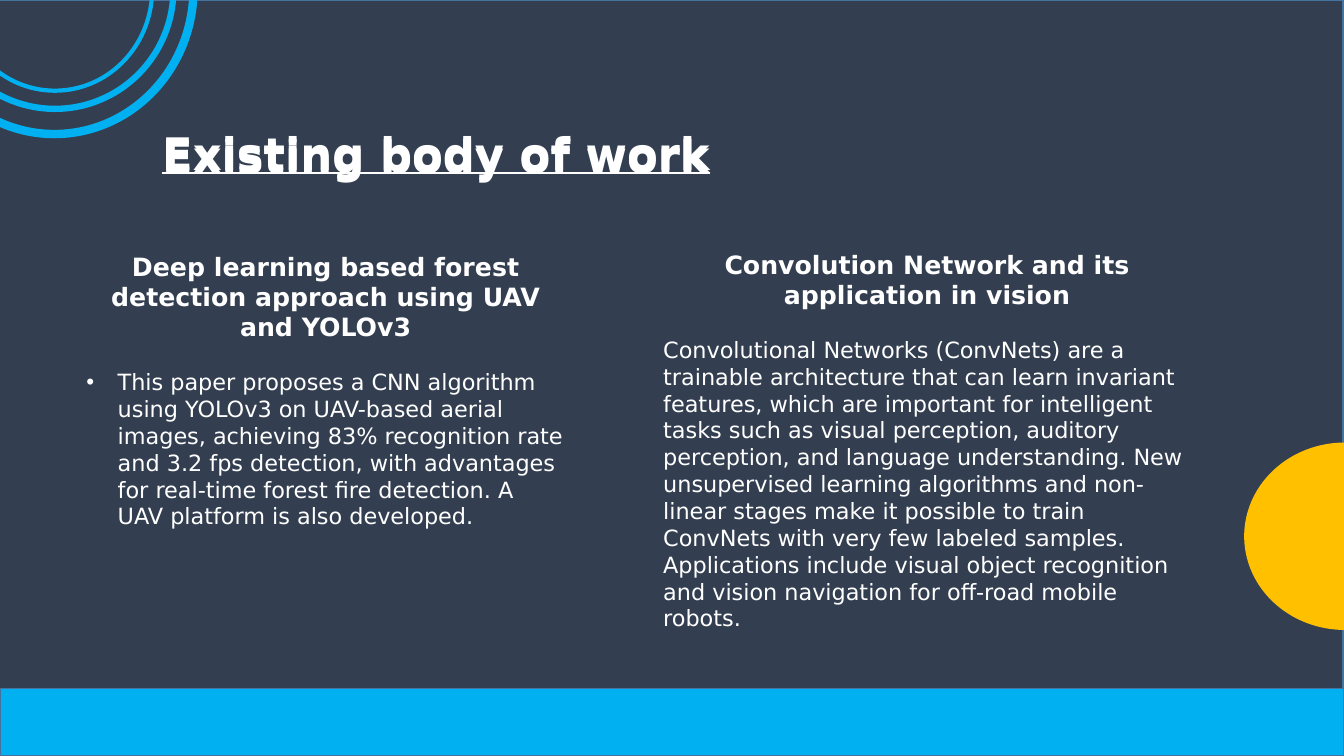
from typing import NamedTuple, Optional

from lxml.etree import SubElement
from pptx import Presentation
from pptx.dml.color import RGBColor
from pptx.enum.shapes import MSO_SHAPE
from pptx.enum.text import MSO_AUTO_SIZE, PP_ALIGN
from pptx.oxml.ns import qn
from pptx.util import Inches, Pt

FONT = "DejaVu Sans"
WHITE = RGBColor(0xFF, 0xFF, 0xFF)
SLATE = RGBColor(0x33, 0x3F, 0x50)
EDGE_BLUE = RGBColor(0x43, 0x73, 0x9E)
SKY_BLUE = RGBColor(0x00, 0xB0, 0xF0)
AMBER = RGBColor(0xFF, 0xC0, 0x00)
SLIDE_WIDTH, SLIDE_HEIGHT = 13.33, 7.5
BULLET_INDENT = Inches(0.31)


class Box(NamedTuple):
    """Left, top, width and height in inches."""
    left: float
    top: float
    width: float
    height: float


class Decoration(NamedTuple):
    """A plain background shape."""
    kind: MSO_SHAPE
    box: Box
    fill: Optional[RGBColor] = None
    line: Optional[RGBColor] = None
    line_width: float = 1


class Study(NamedTuple):
    """A column with a paper's heading and summary."""
    box: Box
    heading: str
    summary: str
    bulleted: bool


DECORATIONS = [
    Decoration(MSO_SHAPE.RECTANGLE, Box(-0.01, 0, SLIDE_WIDTH, SLIDE_HEIGHT), SLATE, EDGE_BLUE),
    Decoration(MSO_SHAPE.OVAL, Box(-0.84, -1.55, 2.76, 2.88), None, SKY_BLUE, 6),
    Decoration(MSO_SHAPE.OVAL, Box(-0.63, -1.29, 2.35, 2.37), None, SKY_BLUE, 4.5),
    Decoration(MSO_SHAPE.OVAL, Box(-0.42, -1.11, 1.93, 2.01), None, SKY_BLUE, 3),
    Decoration(MSO_SHAPE.RECTANGLE, Box(0, 6.83, SLIDE_WIDTH, 0.67), SKY_BLUE, EDGE_BLUE),
    Decoration(MSO_SHAPE.OVAL, Box(12.34, 4.39, 2, 1.86), AMBER),
]

STUDIES = [
    Study(
        Box(0.76, 2.44, 4.94, 3.16),
        "Deep learning based forest detection approach using UAV and YOLOv3",
        "This paper proposes a CNN algorithm using YOLOv3 on UAV-based aerial images, "
        "achieving 83% recognition rate and 3.2 fps detection, with advantages for "
        "real-time forest fire detection. A UAV platform is also developed.",
        True,
    ),
    Study(
        Box(6.48, 2.42, 5.43, 3.94),
        "Convolution Network and its application in vision",
        "Convolutional Networks (ConvNets) are a trainable architecture that can learn "
        "invariant features, which are important for intelligent tasks such as visual "
        "perception, auditory perception, and language understanding. New unsupervised "
        "learning algorithms and non-linear stages make it possible to train ConvNets "
        "with very few labeled samples. Applications include visual object recognition "
        "and vision navigation for off-road mobile robots.",
        False,
    ),
]


def add_decoration(slide, decoration: Decoration) -> None:
    """Draw a background shape with its fill and outline."""
    shape = slide.shapes.add_shape(decoration.kind, *map(Inches, decoration.box))
    shape.shadow.inherit = False
    if decoration.fill is None:
        shape.fill.background()
    else:
        shape.fill.solid()
        shape.fill.fore_color.rgb = decoration.fill
    if decoration.line is None:
        shape.line.fill.background()
    else:
        shape.line.color.rgb = decoration.line
        shape.line.width = Pt(decoration.line_width)


def add_text_frame(slide, box: Box, wrap: bool):
    """Add a text box that grows with its text and return its frame."""
    frame = slide.shapes.add_textbox(*map(Inches, box)).text_frame
    frame.word_wrap = wrap
    frame.auto_size = MSO_AUTO_SIZE.SHAPE_TO_FIT_TEXT
    return frame


def write(paragraph, text: str, size: float, bold: bool) -> None:
    """Put white text into a paragraph."""
    paragraph.text = text
    paragraph.font.name = FONT
    paragraph.font.size = Pt(size)
    paragraph.font.bold = bold
    paragraph.font.color.rgb = WHITE


def add_bullet(paragraph) -> None:
    """Give a paragraph a hanging round bullet."""
    properties = paragraph._p.get_or_add_pPr()
    properties.set("marL", str(BULLET_INDENT))
    properties.set("indent", str(-BULLET_INDENT))
    SubElement(properties, qn("a:buFont"), typeface="Arial")
    SubElement(properties, qn("a:buChar"), char="•")


def add_title(slide, top: float, underlined: bool) -> None:
    """Add one layer of the title."""
    paragraph = add_text_frame(slide, Box(1.51, top, 5.68, 0.64), False).paragraphs[0]
    write(paragraph, "Existing body of work", 32, True)
    paragraph.font.underline = underlined


def add_study(slide, study: Study) -> None:
    """Add a centred heading with the summary below it."""
    frame = add_text_frame(slide, study.box, True)
    heading = frame.paragraphs[0]
    write(heading, study.heading, 18, True)
    heading.alignment = PP_ALIGN.CENTER
    heading.space_after = Pt(19)
    summary = frame.add_paragraph()
    write(summary, study.summary, 16, False)
    if study.bulleted:
        add_bullet(summary)


presentation = Presentation()
presentation.slide_width = Inches(SLIDE_WIDTH)
presentation.slide_height = Inches(SLIDE_HEIGHT)
slide = presentation.slides.add_slide(presentation.slide_layouts[6])
for decoration in DECORATIONS:
    add_decoration(slide, decoration)
add_title(slide, 1.23, False)
for study in STUDIES:
    add_study(slide, study)
add_title(slide, 1.2, True)
presentation.save("out.pptx")
